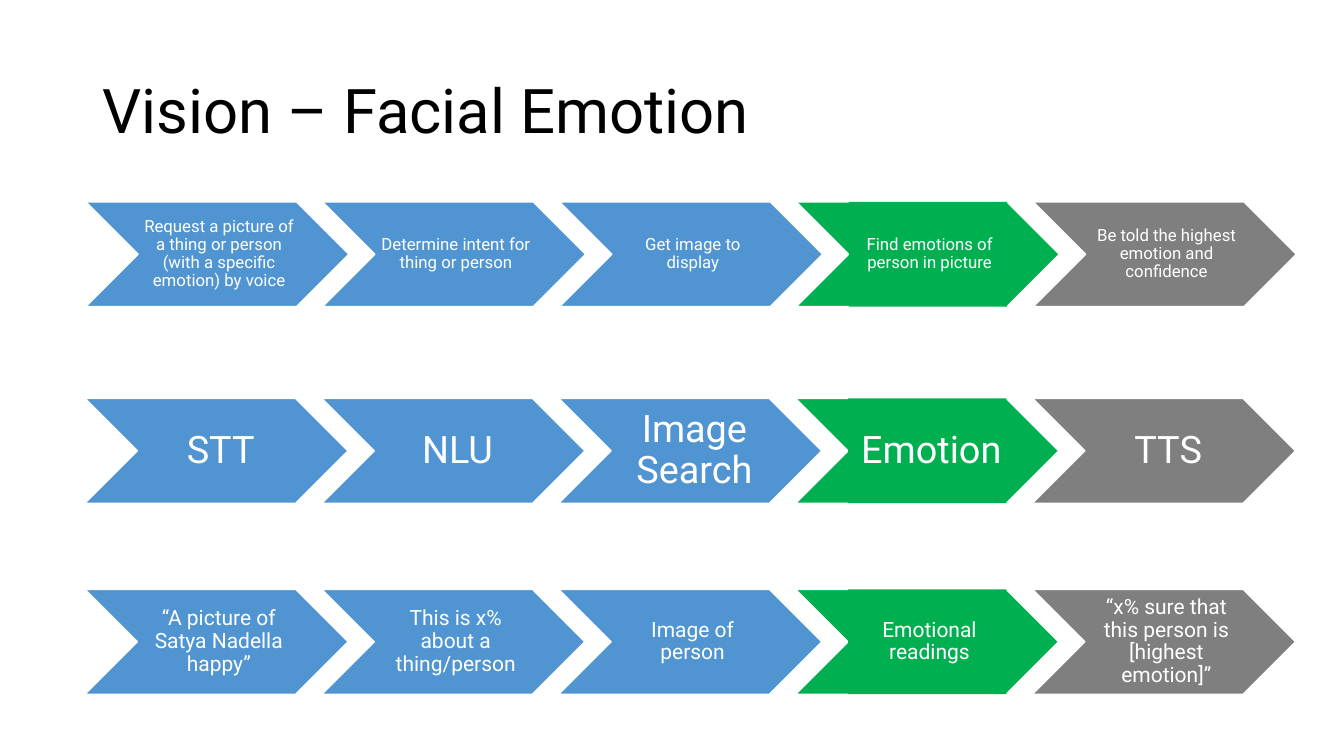
from dataclasses import dataclass

from pptx import Presentation
from pptx import util as u
from pptx.dml.color import RGBColor
from pptx.enum import shapes, text

FONT = "Roboto"
COLORS = {"blue": "5095D1", "green": "00B050", "gray": "7F7F7F",
          "white": "FFFFFF", "black": "000000"}

# Chevron grid, in points
PITCH = 169.2
CHEVRON_W, CHEVRON_H = 187.9, 74.9
LABEL_DX, LABEL_W = 37.6, 113
STEP_COLORS = ("blue", "blue", "blue", "green", "gray")


@dataclass
class Row:
    left: float
    top: float
    size: float
    inset_left: float
    inset: float
    labels: tuple[str, ...]


ROWS = (
    Row(61.2, 144.2, 12, 3.8, 1.3, (
        "Request a picture of a thing or person (with a specific emotion) by voice",
        "Determine intent for thing or person",
        "Get image to display",
        "Find emotions of person in picture",
        "Be told the highest emotion and confidence")),
    Row(60.7, 284.6, 27, 8.5, 2.8, (
        "STT", "NLU", "Image Search", "Emotion", "TTS")),
    Row(60.7, 421, 15, 4.7, 1.6, (
        "“A picture of Satya Nadella happy”",
        "This is x% about a thing/person",
        "Image of person",
        "Emotional readings",
        "“x% sure that this person is [highest emotion]”")),
)


def rgb(name: str) -> RGBColor:
    return RGBColor.from_string(COLORS[name])


def set_text(sp, content: str, size: float, color: str,
             insets: tuple[float, float, float, float]) -> None:
    """Write one vertically centred paragraph; insets are left, top, right, bottom."""
    tf = sp.text_frame
    tf.word_wrap = True
    tf.vertical_anchor = text.MSO_ANCHOR.MIDDLE
    tf.margin_left, tf.margin_top, tf.margin_right, tf.margin_bottom = map(u.Pt, insets)
    p = tf.paragraphs[0]
    p.text = content
    p.line_spacing = 0.9
    p.font.name = FONT
    p.font.size = u.Pt(size)
    p.font.color.rgb = rgb(color)


def add_step(s, row: Row, column: int) -> None:
    """Draw one chevron with its label as a group."""
    color = STEP_COLORS[column]
    left = row.left + column * PITCH
    group = s.shapes.add_group_shape().shapes

    sp = group.add_shape(shapes.MSO_SHAPE.CHEVRON, u.Pt(left), u.Pt(row.top),
                         u.Pt(CHEVRON_W), u.Pt(CHEVRON_H))
    sp.shadow.inherit = False
    sp.fill.solid()
    sp.fill.fore_color.rgb = rgb(color)
    sp.line.color.rgb = rgb("white")
    sp.line.width = u.Pt(1)

    label = group.add_textbox(u.Pt(left + LABEL_DX), u.Pt(row.top),
                              u.Pt(LABEL_W), u.Pt(CHEVRON_H))
    if color == "green":  # the highlighted step has a filled label
        label.fill.solid()
        label.fill.fore_color.rgb = rgb(color)
    set_text(label, row.labels[column], row.size, "white",
             (row.inset_left, row.inset, row.inset, row.inset))
    label.text_frame.paragraphs[0].alignment = text.PP_ALIGN.CENTER


def main() -> None:
    prs = Presentation()
    prs.slide_width, prs.slide_height = u.Pt(960), u.Pt(540)
    s = prs.slides.add_slide(prs.slide_layouts[6])

    # Title
    title = s.shapes.add_textbox(u.Pt(66), u.Pt(28.8), u.Pt(828), u.Pt(104.4))
    set_text(title, "Vision – Facial Emotion", 44, "black", (7.2, 3.6, 7.2, 3.6))

    # Process rows
    for row in ROWS:
        for column in range(len(row.labels)):
            add_step(s, row, column)

    prs.save("out.pptx")


if __name__ == "__main__":
    main()
